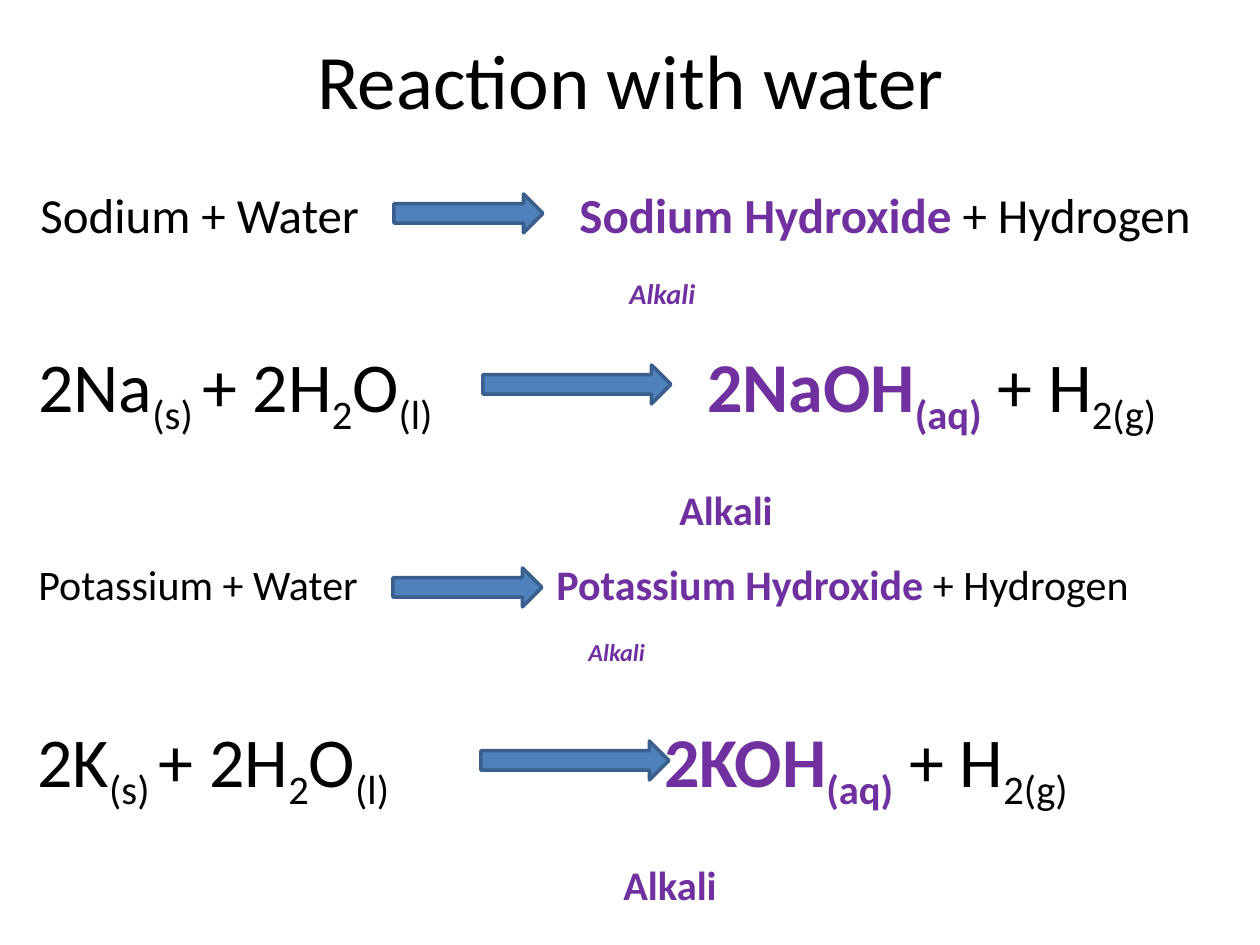
from lxml.etree import SubElement
from pptx import Presentation
from pptx.dml.color import RGBColor as Rgb
from pptx.enum.shapes import MSO_SHAPE as Shape
from pptx.enum.text import MSO_ANCHOR as Anchor, MSO_AUTO_SIZE as AutoSize, PP_ALIGN as Align
from pptx.oxml.ns import qn
from pptx.util import Emu, Pt

SCALE = 914400 / 126
COLORS = {"ink": "000000", "alkali": "7030A0", "arrow": "4F81BD", "edge": "3A5F8C"}
PLAIN = {}
SUB = {"sub": True}
PRODUCT = {"color": "alkali", "bold": True}
PRODUCT_SUB = {**PRODUCT, **SUB}
NOTE = {**PRODUCT_SUB, "italic": True}


def px(length):
    """Turn pixels into EMU."""
    return Emu(round(length * SCALE))


def color(name):
    """Look up a palette colour."""
    return Rgb.from_string(COLORS[name])


def add_run(paragraph, text, size, color_name="ink", sub=False, **styles):
    """Append one formatted piece of text, lowered when sub is set."""
    run = paragraph.add_run()
    run.text = text
    formats = {"name": "Calibri", "size": Pt(size), "bold": False, **styles}
    for key, value in formats.items():
        setattr(run.font, key, value)
    run.font.color.rgb = color(color_name)
    if sub:
        run.font._element.set("baseline", "-25000")


def add_tab(paragraph, position):
    """Set one left tab stop on a paragraph."""
    tabs = SubElement(paragraph._p.get_or_add_pPr(), qn("a:tabLst"))
    SubElement(tabs, qn("a:tab"), pos=str(px(position)), algn="l")


def add_box(slide, box):
    """Add a wrapping text box and return its frame."""
    frame = slide.shapes.add_textbox(*map(px, box)).text_frame
    frame.word_wrap = True
    return frame


def add_title(slide, text):
    """Add the centred slide title."""
    frame = add_box(slide, (64, 0, 1134, 158))
    frame.vertical_anchor = Anchor.MIDDLE
    heading = frame.paragraphs[0]
    heading.alignment = Align.CENTER
    add_run(heading, text, 44)


def add_reaction(slide, box, size, pieces, product_tab, note_tab, note_style):
    """Add an equation with the alkali label on the line below."""
    frame = add_box(slide, box)
    frame.auto_size = AutoSize.SHAPE_TO_FIT_TEXT
    label = [("\tAlkali", note_style)]
    for index, (line, tab) in enumerate([(pieces, product_tab), (label, note_tab)]):
        paragraph = frame.add_paragraph() if index else frame.paragraphs[0]
        add_tab(paragraph, tab)
        for text, style in line:
            styles = dict(style)
            add_run(paragraph, text, size, styles.pop("color", "ink"), **styles)


def add_arrow(slide, left, top, width):
    """Add a reaction arrow."""
    arrow = slide.shapes.add_shape(Shape.RIGHT_ARROW, *map(px, (left, top, width, 39)))
    arrow.shadow.inherit = False
    arrow.fill.solid()
    arrow.fill.fore_color.rgb = color("arrow")
    arrow.line.color.rgb = color("edge")
    arrow.line.width = Pt(2)


def word_equation(metal):
    """List the pieces of a metal's word equation."""
    return [(f"{metal} + Water", PLAIN), (f"\t{metal} Hydroxide ", PRODUCT),
            ("+ Hydrogen", PLAIN)]


def symbol_equation(symbol):
    """List the pieces of a metal's balanced symbol equation."""
    return [(f"2{symbol}", PLAIN), ("(s) ", SUB), ("+ 2H", PLAIN), ("2", SUB),
            ("O", PLAIN), ("(l)", SUB), (f"\t2{symbol}OH", PRODUCT),
            ("(aq)", PRODUCT_SUB), (" + H", PLAIN), ("2(g)", SUB)]


def main():
    """Build the slide and save it."""
    deck = Presentation()
    deck.slide_width, deck.slide_height = px(1260), px(945)
    slide = deck.slides.add_slide(deck.slide_layouts[6])
    add_title(slide, "Reaction with water")

    reactions = [
        ((25, 711, 1099, 154), 40, symbol_equation("K"), 627, 586, PRODUCT_SUB, (481, 741, 188)),
        ((26, 552, 1191, 97), 24, word_equation("Potassium"), 518, 550, NOTE, (393, 568, 149)),
        ((26, 336, 1188, 154), 40, symbol_equation("Na"), 669, 641, PRODUCT_SUB, (483, 365, 188)),
        ((28, 178, 1191, 112), 28, word_equation("Sodium"), 539, 589, NOTE, (394, 194, 149)),
    ]
    for *equation, arrow in reactions:
        add_reaction(slide, *equation)
        add_arrow(slide, *arrow)
    deck.save("out.pptx")


if __name__ == "__main__":
    main()
